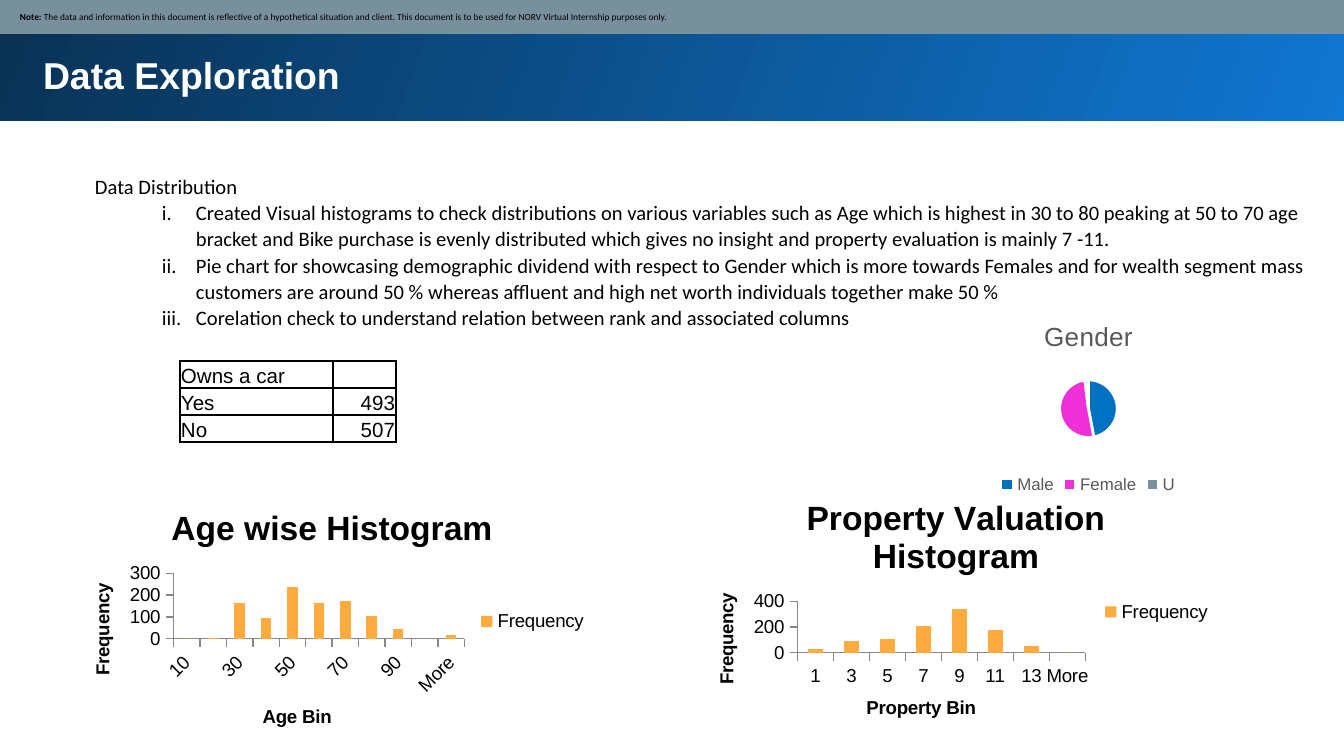
from dataclasses import dataclass
from lxml.etree import SubElement
from pptx import Presentation
from pptx.chart.data import CategoryChartData
from pptx.dml.color import RGBColor
from pptx.enum.chart import XL_CHART_TYPE as ChartKind, XL_LEGEND_POSITION as LegendSide, XL_TICK_MARK as Tick
from pptx.enum.shapes import MSO_SHAPE as Preset
from pptx.enum.text import MSO_ANCHOR as Anchor, MSO_AUTO_SIZE as AutoSize, PP_ALIGN as Align
from pptx.oxml.ns import qn
from pptx.util import Emu, Pt


@dataclass
class Theme:
    heading: str = "Arial"
    text: str = "Calibri"
    black: str = "000000"
    white: str = "FFFFFF"
    gray: str = "595959"
    axis: str = "878787"
    slate: str = "78909C"
    light: str = "1077D2"
    dark: str = "093153"
    bar: str = "FFAB40"
    male: str = "0070C0"
    female: str = "EF2FD8"
    title_size: int = 20
    chart_title: int = 18
    pie_title: int = 14
    body: int = 11
    chart: int = 10
    legend: int = 9
    note: int = 5


theme = Theme()


def px(*lengths):
    return [Emu(round(n * 914400 / 134.4)) for n in lengths]


def write(para, text, size=theme.body, font=theme.heading, color=theme.black, bold=False, align=Align.LEFT):
    para.alignment = align
    if not text:
        SubElement(para._p, qn("a:endParaRPr"), sz=str(size * 100))
        return
    span = para.add_run()
    span.text = text
    span.font.size, span.font.name, span.font.bold = Pt(size), font, bold
    span.font.color.rgb = RGBColor.from_string(color)


deck = Presentation()
deck.slide_width, deck.slide_height = px(1344, 756)
page = deck.slides.add_slide(deck.slide_layouts[1])
title, body = page.placeholders

banner = page.shapes.add_shape(Preset.RECTANGLE, *px(-3, -3, 1351, 124))
banner.fill.gradient()
banner.fill.gradient_angle = 160
for stop, color in zip(banner.fill.gradient_stops, (theme.light, theme.dark)):
    stop.color.rgb = RGBColor.from_string(color)

page.shapes._spTree.append(title._element)
title.left, title.top, title.width, title.height = px(30, 39, 1259, 69)
frame = title.text_frame
frame.auto_size, frame.vertical_anchor = AutoSize.NONE, Anchor.TOP
frame.margin_left, frame.margin_top, frame.margin_right, frame.margin_bottom = px(13, 13, 13, 13)
write(frame.paragraphs[0], "Data Exploration", size=theme.title_size, color=theme.white, bold=True)

strip = page.shapes.add_shape(Preset.RECTANGLE, *px(-1, -1, 1348, 35))
strip.fill.solid()
strip.fill.fore_color.rgb = RGBColor.from_string(theme.slate)
for shape in (banner, strip):
    shape.line.fill.background()
    shape.shadow.inherit = False
frame = strip.text_frame
frame.vertical_anchor = Anchor.MIDDLE
frame.margin_left, frame.margin_top, frame.margin_right, frame.margin_bottom = px(21, 7, 7, 7)
note = ("The data and information in this document is reflective of a hypothetical situation and client. "
        "This document is to be used for NORV Virtual Internship purposes only.")
for text, bold in (("Note: ", True), (note, False)):
    write(frame.paragraphs[0], text, size=theme.note, font=theme.text, bold=bold)

page.shapes._spTree.append(body._element)
body.left, body.top, body.width, body.height = px(15, 122, 1329, 219)
frame = body.text_frame
frame.auto_size = AutoSize.NONE
frame.margin_left, frame.margin_top, frame.margin_right, frame.margin_bottom = px(13, 50, 13, 7)
lines = (
    (1, "Data Distribution"),
    (2, "Created Visual histograms to check distributions on various variables such as Age which is highest "
        "in 30 to 80 peaking at 50 to 70 age bracket and Bike purchase is evenly distributed which gives no "
        "insight and property evaluation is mainly 7 -11."),
    (2, "Pie chart for showcasing demographic dividend with respect to Gender which is more towards Females "
        "and for wealth segment mass customers are around 50 % whereas affluent and high net worth "
        "individuals together make 50 %"),
    (2, "Corelation check to understand relation between rank and associated columns"),
)
for index, (level, text) in enumerate(lines):
    para = frame.add_paragraph() if index else frame.paragraphs[0]
    para.level = level
    para.line_spacing, para.space_before, para.space_after = 1.07, Pt(0), Pt(0)
    write(para, text, font=theme.text)
    props = para._p.get_or_add_pPr()
    left, indent = px(168, -34) if level == 2 else px(67, 0)
    props.set("marL", str(left))
    props.set("indent", str(indent))
    if level == 2:
        SubElement(props, qn("a:buFont"), typeface=theme.text)
        SubElement(props, qn("a:buAutoNum"), type="romanLcPeriod")
    else:
        SubElement(props, qn("a:buNone"))

histograms = (
    ("Age wise Histogram", "Age Bin", (63, 487, 538, 269),
     ("10", "20", "30", "40", "50", "60", "70", "80", "90", "100", "More"),
     (0, 3, 162, 94, 236, 163, 175, 103, 46, 0, 17)),
    ("Property Valuation Histogram", "Property Bin", (687, 477, 538, 270),
     ("1", "3", "5", "7", "9", "11", "13", "More"),
     (30, 90, 110, 210, 340, 180, 50, 0)),
)
pie_data = ("Gender", None, (848, 304, 481, 196), ("Male", "Female", "U"), (47, 51, 2))
for heading, bins, place, names, values in (*histograms, pie_data):
    data = CategoryChartData()
    data.categories = names
    data.add_series("Frequency" if bins else "Series 1", values)
    kind = ChartKind.COLUMN_CLUSTERED if bins else ChartKind.PIE
    chart = page.shapes.add_chart(kind, *px(*place), data).chart
    chart.font.size, chart.font.name = Pt(theme.chart), theme.heading
    chart.font.color.rgb = RGBColor.from_string(theme.black)
    chart.has_title = chart.has_legend = True
    write(chart.chart_title.text_frame.paragraphs[0], heading, align=Align.CENTER, bold=bool(bins),
          size=theme.chart_title if bins else theme.pie_title, color=theme.black if bins else theme.gray)
    chart.chart_title.include_in_layout = False
    chart.legend.include_in_layout = False
    chart.legend.position = LegendSide.RIGHT if bins else LegendSide.BOTTOM
    plot = chart.plots[0]
    series = plot.series[0]
    if bins:
        plot.vary_by_categories = False
        plot.gap_width = 150
        series.format.fill.solid()
        series.format.fill.fore_color.rgb = RGBColor.from_string(theme.bar)
        for axis, text in ((chart.category_axis, bins), (chart.value_axis, "Frequency")):
            axis.has_major_gridlines = False
            axis.major_tick_mark, axis.minor_tick_mark = Tick.OUTSIDE, Tick.NONE
            axis.format.line.color.rgb = RGBColor.from_string(theme.axis)
            write(axis.axis_title.text_frame.paragraphs[0], text, size=theme.chart, bold=True, align=Align.CENTER)
    else:
        plot.vary_by_categories = True
        chart.legend.font.size, chart.legend.font.name = Pt(theme.legend), theme.heading
        chart.legend.font.color.rgb = RGBColor.from_string(theme.gray)
        for index, color in enumerate((theme.male, theme.female, theme.slate)):
            look = series.points[index].format
            look.fill.solid()
            look.fill.fore_color.rgb = RGBColor.from_string(color)
            look.line.color.rgb = RGBColor.from_string(theme.white)
            look.line.width = Pt(1.5)
        area = chart._chartSpace.chart.plotArea
        for old in area.findall(qn("c:layout")):
            area.remove(old)
        layout = SubElement(area, qn("c:layout"))
        area.insert(0, layout)
        manual = SubElement(layout, qn("c:manualLayout"))
        for tag, value in (("layoutTarget", "inner"), ("xMode", "edge"), ("yMode", "edge"),
                           ("x", "0.44"), ("y", "0.38"), ("w", "0.12"), ("h", "0.31")):
            SubElement(manual, qn("c:" + tag), val=value)

rows = (("Owns a car", ""), ("Yes", "493"), ("No", "507"))
table = page.shapes.add_table(3, 2, *px(180, 361, 216, 81)).table
table.first_row = table.horz_banding = False
for column, width in zip(table.columns, px(153, 63)):
    column.width = width
for r, row in enumerate(rows):
    table.rows[r].height = px(27)[0]
    for c, text in enumerate(row):
        cell = table.cell(r, c)
        cell.vertical_anchor = Anchor.BOTTOM
        cell.margin_left, cell.margin_top, cell.margin_right, cell.margin_bottom = px(1, 1, 1, 0)
        write(cell.text_frame.paragraphs[0], text, align=Align.RIGHT if c else Align.LEFT)
        props = cell._tc.get_or_add_tcPr()
        for side in ("lnL", "lnR", "lnT", "lnB"):
            line = SubElement(props, qn("a:" + side), w=str(Pt(1)))
            fill = SubElement(line, qn("a:solidFill"))
            SubElement(fill, qn("a:srgbClr"), val=theme.black)
        cell.fill.background()

deck.save("out.pptx")
